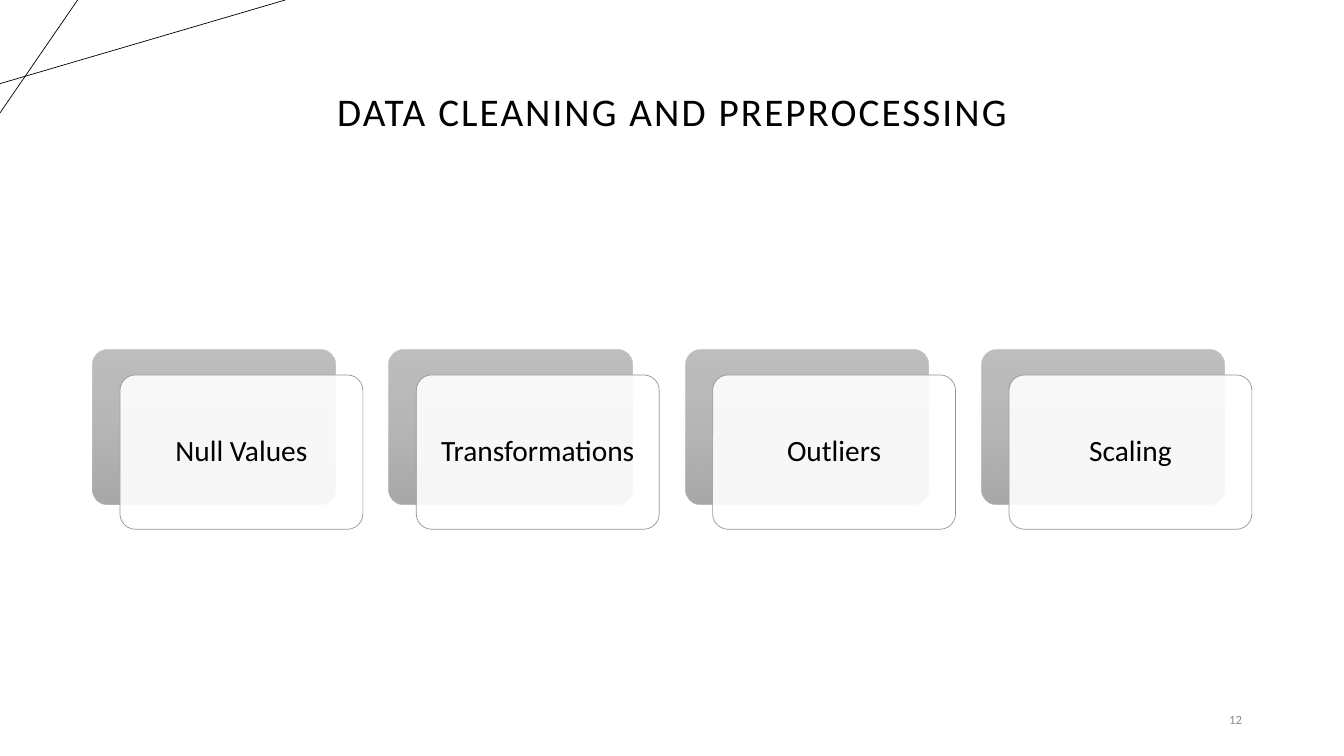
from dataclasses import dataclass

from lxml.etree import SubElement
from pptx import Presentation
from pptx.dml.color import RGBColor
from pptx.enum.shapes import MSO_CONNECTOR, MSO_SHAPE
from pptx.enum.text import MSO_ANCHOR, PP_ALIGN
from pptx.oxml import parse_xml
from pptx.oxml.ns import nsdecls, qn
from pptx.util import Pt


@dataclass(frozen=True)
class Theme:
    """Hold the colours, font and type sizes of the slide."""
    font: str = "Calibri"
    ink: str = "000000"
    paper: str = "FFFFFF"
    edge: str = "969696"
    muted: str = "8C8C8C"
    shade: tuple = ((0, "AFAFAF"), (50, "A5A5A5"), (100, "939393"))
    title: int = 28
    label: int = 21
    small: int = 9
    hair: float = 0.5


THEME = Theme()
STEPS = ("Null Values", "Transformations", "Outliers", "Scaling")
CARD = (173.5, 110.2)
LEFT, TOP, PITCH = 66.24, 249.84, 211.68
SHIFT = (19.44, 18)


def write(frame, text, size, color, align, space=None):
    """Write one run of text, centred in height, into a frame."""
    frame.word_wrap = True
    frame.vertical_anchor = MSO_ANCHOR.MIDDLE
    para = frame.paragraphs[0]
    para.alignment = align
    para.line_spacing = 0.9
    run = para.add_run()
    run.text = text
    run.font.name = THEME.font
    run.font.size = Pt(size)
    run.font.color.rgb = RGBColor.from_string(color)
    if space:
        run.font._element.set("spc", str(int(space * 100)))


def add_text(slide, box, *style):
    """Add a text box with the given style."""
    shape = slide.shapes.add_textbox(*map(Pt, box))
    write(shape.text_frame, *style)


def add_rule(slide, start, end):
    """Add a thin straight line."""
    rule = slide.shapes.add_connector(MSO_CONNECTOR.STRAIGHT, *map(Pt, start + end))
    rule.line.color.rgb = RGBColor.from_string(THEME.ink)
    rule.line.width = Pt(THEME.hair)
    SubElement(rule._element.spPr, qn("a:effectLst"))


def add_round(slide, left, top):
    """Add a rounded card without a shadow."""
    shape = slide.shapes.add_shape(
        MSO_SHAPE.ROUNDED_RECTANGLE, *map(Pt, (left, top) + CARD))
    shape.adjustments[0] = 0.1
    shape.shadow.inherit = False
    return shape


def add_back(slide, left, top):
    """Add the grey card that shows behind a step."""
    shape = add_round(slide, left, top)
    shape.line.fill.background()
    shape.fill.background()
    stops = "".join(
        f'<a:gs pos="{pos * 1000}"><a:srgbClr val="{color}">'
        '<a:alpha val="80000"/></a:srgbClr></a:gs>'
        for pos, color in THEME.shade)
    grad = parse_xml(
        f'<a:gradFill {nsdecls("a")} rotWithShape="1"><a:gsLst>{stops}</a:gsLst>'
        '<a:lin ang="5400000" scaled="0"/></a:gradFill>')
    props = shape._element.spPr
    props.replace(props.find(qn("a:noFill")), grad)


def add_front(slide, left, top, text):
    """Add the clear white card that names a step."""
    shape = add_round(slide, left, top)
    shape.fill.solid()
    shape.fill.fore_color.rgb = RGBColor.from_string(THEME.paper)
    color = shape._element.spPr.find(f'{qn("a:solidFill")}/{qn("a:srgbClr")}')
    SubElement(color, qn("a:alpha"), val="90000")
    shape.line.color.rgb = RGBColor.from_string(THEME.edge)
    shape.line.width = Pt(THEME.hair)
    frame = shape.text_frame
    frame.margin_left = frame.margin_right = Pt(6.3)
    frame.margin_top = frame.margin_bottom = Pt(6.3)
    write(frame, text, THEME.label, THEME.ink, PP_ALIGN.CENTER)


def main():
    """Build the slide and save it."""
    deck = Presentation()
    deck.slide_width, deck.slide_height = Pt(960), Pt(540)
    slide = deck.slides.add_slide(deck.slide_layouts[6])
    add_rule(slide, (0, 59.76), (203.76, 0))
    add_rule(slide, (55.44, 0), (0, 80.64))
    add_text(slide, (66.24, 28.8, 828, 104.4), "DATA CLEANING AND PREPROCESSING",
             THEME.title, THEME.ink, PP_ALIGN.CENTER, 1.5)
    add_text(slide, (678.24, 500.4, 216, 28.8), "12",
             THEME.small, THEME.muted, PP_ALIGN.RIGHT)
    for index, step in enumerate(STEPS):
        left = LEFT + index * PITCH
        add_back(slide, left, TOP)
        add_front(slide, left + SHIFT[0], TOP + SHIFT[1], step)
    deck.save("out.pptx")


if __name__ == "__main__":
    main()
